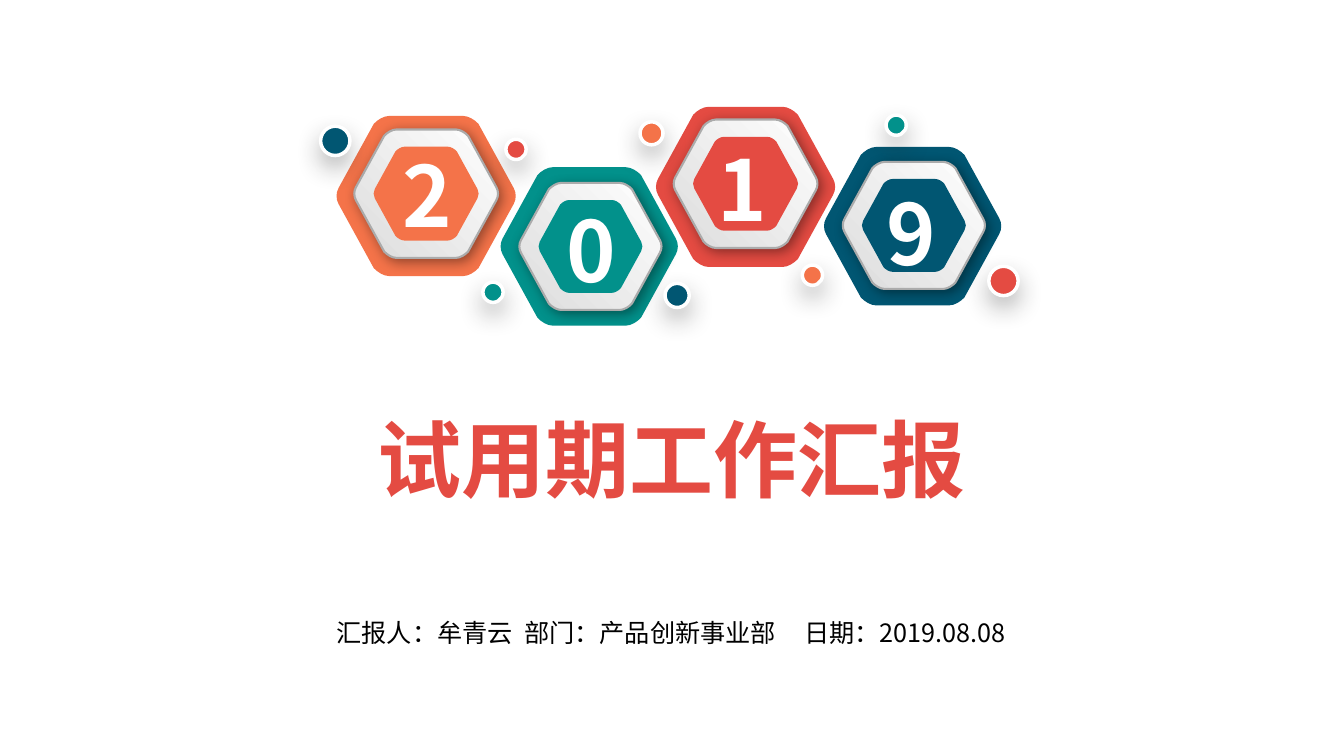
from dataclasses import dataclass

from lxml import etree
from pptx import Presentation
from pptx.dml.color import RGBColor
from pptx.enum.shapes import MSO_SHAPE
from pptx.enum.text import MSO_ANCHOR, MSO_AUTO_SIZE, PP_ALIGN
from pptx.oxml.ns import qn
from pptx.util import Cm, Pt

OVAL = MSO_SHAPE.OVAL
MIDDLE = MSO_ANCHOR.MIDDLE
LEFT, CENTER = PP_ALIGN.LEFT, PP_ALIGN.CENTER
NO_FIT = MSO_AUTO_SIZE.NONE

ORANGE = RGBColor(0xF4, 0x73, 0x49)
TEAL = RGBColor(0x02, 0x91, 0x8B)
RED = RGBColor(0xE4, 0x4B, 0x42)
NAVY = RGBColor(0x01, 0x56, 0x72)
WHITE = RGBColor(0xFF, 0xFF, 0xFF)
SILVER = RGBColor(0xDC, 0xDC, 0xDC)
GREY = RGBColor(0xAB, 0xAB, 0xAB)
BLACK = RGBColor(0, 0, 0)
FONT = "Noto Sans CJK SC"

# Curves of the rounded corners, in half widths and half heights
TOP = [(0.41, -1), (0.47, -1), (0.54, -0.95), (0.58, -0.9)]
SIDE = [(0.97, -0.1), (1, -0.04), (1, 0.04), (0.97, 0.1)]
RIGHT = TOP + SIDE + [(x, -y) for x, y in reversed(TOP)]
HEX = RIGHT + [(-x, -y) for x, y in RIGHT]
RATIO = 0.887
RING, CORE = 0.802, 0.586


@dataclass
class Badge:
    digit: str
    color: RGBColor
    x: float      # centre
    y: float
    width: float
    dx: float     # shift of ring and core
    dy: float
    left: float   # digit box
    top: float
    span: float


@dataclass
class Dot:
    color: RGBColor
    left: float
    top: float
    size: float


@dataclass
class Shade:
    color: str
    alpha: int
    blur: float
    dist: float
    angle: int


@dataclass
class Piece:
    text: str
    gap: float = 0  # extra letter spacing in points


BADGES = [
    Badge("2", ORANGE, 10.74, 4.94, 4.55, 0, -0.06, 9.89, 3.5, 1.78),
    Badge("0", TEAL, 14.85, 6.21, 4.5, 0.03, 0, 14.02, 4.88, 1.5),
    Badge("1", RED, 18.79, 4.71, 4.55, 0, -0.08, 17.83, 3.33, 1.5),
    Badge("9", NAVY, 23, 5.7, 4.5, 0.03, -0.02, 22.1, 4.45, 1.5),
]
DOTS = [
    Dot(RED, 24.92, 6.71, 0.74),
    Dot(ORANGE, 20.22, 6.68, 0.51),
    Dot(ORANGE, 16.13, 3.07, 0.58),
    Dot(TEAL, 22.33, 2.9, 0.51),
    Dot(NAVY, 16.76, 7.14, 0.61),
    Dot(RED, 12.75, 3.51, 0.51),
    Dot(TEAL, 12.17, 7.11, 0.51),
    Dot(NAVY, 8.08, 3.18, 0.74),
]
FACTS = [
    Piece("汇报人：牟青云"),
    Piece(" ", 4),
    Piece("部门：产品创新事业部"),
    Piece(" ", 16.1),
    Piece("日期：2019.08.08"),
]
RING_SHADE = Shade("000000", 40, 9, 3, 45)
DOT_SHADE = Shade("262626", 33, 18, 8, 90)


def cast(shape, shade: Shade) -> None:
    """Give the shape an outer shadow."""
    shape.shadow.inherit = False
    effects = shape._element.spPr.find(qn("a:effectLst"))
    outer = etree.SubElement(
        effects, qn("a:outerShdw"), blurRad=str(Pt(shade.blur)),
        dist=str(Pt(shade.dist)), dir=str(shade.angle * 60000),
        algn="ctr", rotWithShape="0")
    tint = etree.SubElement(outer, qn("a:srgbClr"), val=shade.color)
    etree.SubElement(tint, qn("a:alpha"), val=str(shade.alpha * 1000))


def add_hex(shapes, x: float, y: float, width: float):
    points = [(Cm(x + px * width / 2), Cm(y + py * width * RATIO / 2))
              for px, py in HEX]
    pen = shapes.build_freeform(*points[0])
    pen.add_line_segments(points[1:], close=True)
    shape = pen.convert_to_shape()
    # Three steps of every four become one curve
    steps = list(shape._element.iter(qn("a:lnTo")))
    for i in range(0, 4 * (len(HEX) // 4), 4):
        curve = etree.Element(qn("a:cubicBezTo"))
        steps[i].addprevious(curve)
        for step in steps[i:i + 3]:
            curve.append(step[0])
            step.getparent().remove(step)
    shape.shadow.inherit = False
    shape.line.fill.background()
    return shape


def paint(shape, color: RGBColor) -> None:
    shape.fill.solid()
    shape.fill.fore_color.rgb = color


def style(para, size: float, color: RGBColor, bold: bool, align) -> None:
    para.alignment = align
    para.space_before = Pt(0)
    para.line_spacing = 1.0
    font = para.font
    font.size, font.bold, font.name = Pt(size), bold, FONT
    font.color.rgb = color
    asian = etree.Element(qn("a:ea"), typeface=FONT)
    font._element.find(qn("a:latin")).addnext(asian)


def add_badge(shapes, badge: Badge) -> None:
    paint(add_hex(shapes, badge.x, badge.y, badge.width), badge.color)
    x, y = badge.x + badge.dx, badge.y + badge.dy
    ring = add_hex(shapes, x, y, badge.width * RING)
    ring.fill.gradient()
    ring.fill.gradient_angle = 225
    for stop, color in zip(ring.fill.gradient_stops, (WHITE, SILVER)):
        stop.color.rgb = color
    ring.line.color.rgb = GREY
    ring.line.width = Pt(1.5)
    cast(ring, RING_SHADE)
    paint(add_hex(shapes, x, y, badge.width * CORE), badge.color)


def add_digit(shapes, badge: Badge) -> None:
    box = shapes.add_textbox(Cm(badge.left), Cm(badge.top),
                             Cm(badge.span), Cm(2.82))
    box.text_frame.word_wrap = True
    para = box.text_frame.paragraphs[0]
    para.text = badge.digit
    style(para, 60, WHITE, True, LEFT)


def add_dot(shapes, dot: Dot) -> None:
    size = Cm(dot.size)
    shape = shapes.add_shape(OVAL, Cm(dot.left), Cm(dot.top), size, size)
    paint(shape, dot.color)
    shape.line.color.rgb = WHITE
    shape.line.width = Pt(2.5)
    cast(shape, DOT_SHADE)


def fill_holder(holder, pieces: list[Piece], box: tuple):
    """Move the placeholder, fill it and return its paragraph."""
    holder.left, holder.top, holder.width, holder.height = map(Cm, box)
    frame = holder.text_frame
    frame.word_wrap = True
    frame.auto_size = NO_FIT
    frame.vertical_anchor = MIDDLE
    frame.margin_top = frame.margin_bottom = 0
    para = frame.paragraphs[0]
    for piece in pieces:
        run = para.add_run()
        run.text = piece.text
        if piece.gap:
            run.font._element.set("spc", str(round(piece.gap * 100)))
    return para


def main() -> None:
    deck = Presentation()
    deck.slide_width, deck.slide_height = Cm(33.87), Cm(19.05)
    slide = deck.slides.add_slide(deck.slide_layouts[0])
    shapes = slide.shapes

    # Year
    for badge in BADGES:
        add_badge(shapes, badge)
    for dot in DOTS:
        add_dot(shapes, dot)
    for badge in BADGES:
        add_digit(shapes, badge)

    # Title
    title = fill_holder(shapes.title, [Piece("试用期工作汇报")],
                        (4.27, 10.64, 25.3, 1.78))
    style(title, 60, RED, True, CENTER)

    # Reporter, department and date
    facts = fill_holder(slide.placeholders[1], FACTS, (7.77, 15.6, 18.29, 0.69))
    style(facts, 18, BLACK, False, CENTER)

    deck.save("out.pptx")


if __name__ == "__main__":
    main()
